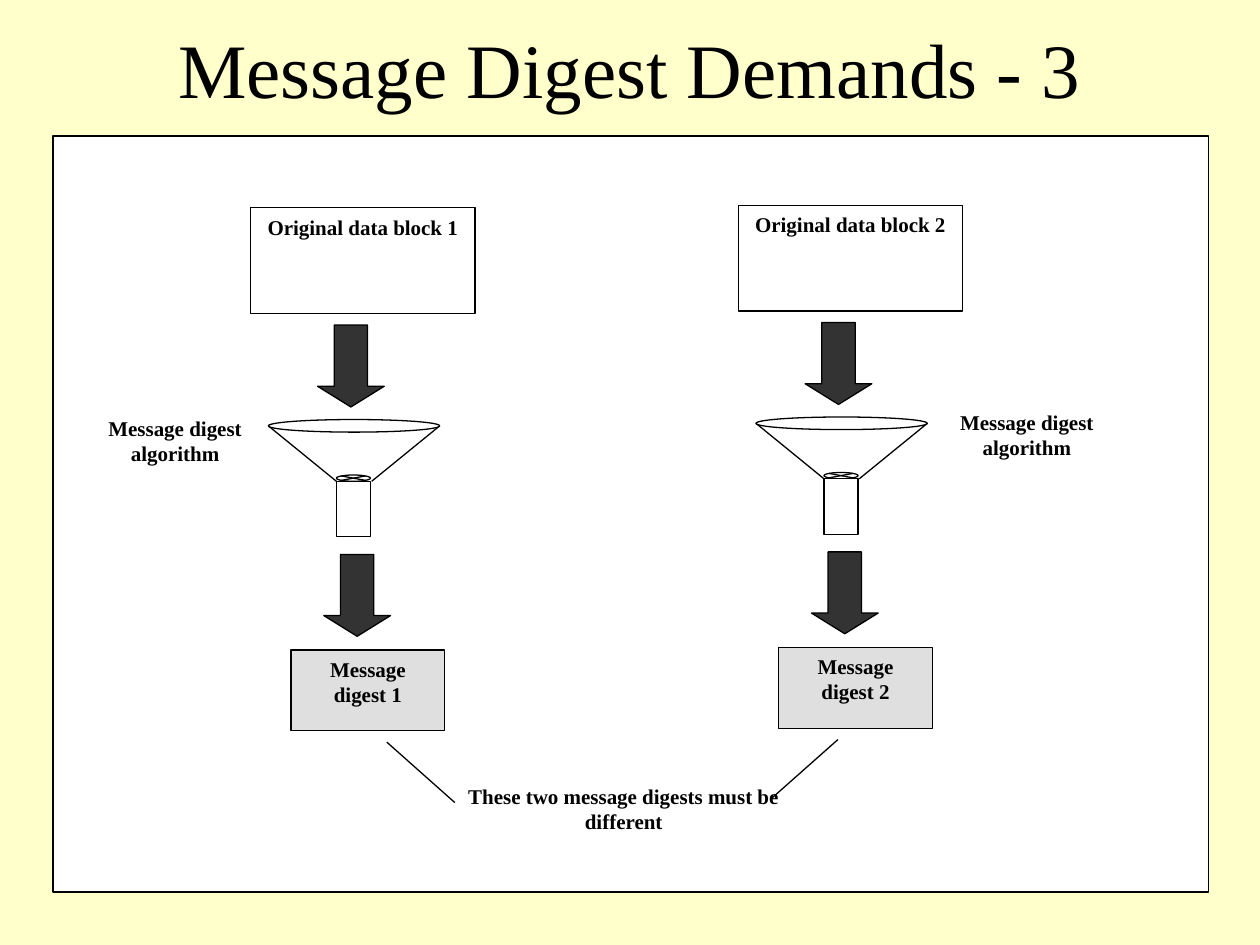
from dataclasses import dataclass

from lxml.etree import SubElement
from pptx import Presentation
from pptx.dml.color import RGBColor
from pptx.enum.shapes import MSO_CONNECTOR, MSO_SHAPE as Preset
from pptx.enum.text import MSO_ANCHOR as Anchor, PP_ALIGN as Align
from pptx.oxml.ns import qn
from pptx.shapes.autoshape import Shape
from pptx.slide import Slide
from pptx.text.text import TextFrame
from pptx.util import Inches, Pt

FONT = "Times New Roman"
BLACK, WHITE, DARK, SILVER, CREAM = "000000", "FFFFFF", "333333", "C0C0C0", "FFFFCC"
LINE_WIDTH = Pt(0.75)


@dataclass(frozen=True)
class Part:
    preset: Preset
    left: float
    top: float
    width: float
    height: float
    fill: str = WHITE
    text: str = ""
    outlined: bool = True
    opacity: int = 100


@dataclass(frozen=True)
class Stroke:
    x1: float
    y1: float
    x2: float
    y2: float


@dataclass(frozen=True)
class Column:
    number: int
    dx: float
    dy: float
    algorithm_left: float
    algorithm_top: float


COLUMNS = (
    Column(1, 0, 0, 0.7, 3.25),
    Column(2, 3.87, -0.02, 7.46, 3.2),
)
FUNNEL_SIDES = (Stroke(2.13, 3.38, 2.67, 3.82), Stroke(3.49, 3.38, 2.95, 3.82))
FUNNEL_PARTS = (
    Part(Preset.FLOWCHART_SUMMING_JUNCTION, 2.67, 3.77, 0.27, 0.05),
    Part(Preset.FLOWCHART_PROCESS, 2.67, 3.82, 0.27, 0.44),
    Part(Preset.OVAL, 2.13, 3.33, 1.36, 0.1),
)
ARROWS = (
    Part(Preset.DOWN_ARROW, 2.52, 2.58, 0.53, 0.65, DARK),
    Part(Preset.DOWN_ARROW, 2.57, 4.4, 0.53, 0.65, DARK),
)
PANEL = Part(Preset.RECTANGLE, 0.42, 1.08, 9.17, 6)
CONCLUSION = Part(Preset.RECTANGLE, 3.51, 6.17, 2.88, 0.71,
                  text="These two message digests must be different", outlined=False)
CONCLUSION_LINKS = (Stroke(3.07, 5.89, 3.61, 6.37), Stroke(6.65, 5.87, 6.12, 6.34))


def color(value: str) -> RGBColor:
    return RGBColor.from_string(value)


def write(frame: TextFrame, text: str, size: float, bold: bool, anchor: Anchor) -> None:
    frame.word_wrap = True
    frame.vertical_anchor = anchor
    paragraph = frame.paragraphs[0]
    paragraph.alignment = Align.CENTER
    run = paragraph.add_run()
    run.text = text
    run.font.name = FONT
    run.font.size = Pt(size)
    run.font.bold = bold
    run.font.color.rgb = color(BLACK)


def draw_part(slide: Slide, part: Part, dx: float = 0, dy: float = 0) -> Shape:
    shape = slide.shapes.add_shape(
        part.preset, Inches(part.left + dx), Inches(part.top + dy),
        Inches(part.width), Inches(part.height))
    shape.shadow.inherit = False
    shape.fill.solid()
    shape.fill.fore_color.rgb = color(part.fill)
    if part.opacity < 100:
        tint = shape.element.spPr.find(qn("a:solidFill")).find(qn("a:srgbClr"))
        SubElement(tint, qn("a:alpha")).set("val", str(part.opacity * 1000))
    if part.outlined:
        shape.line.color.rgb = color(BLACK)
        shape.line.width = LINE_WIDTH
    else:
        shape.line.fill.background()
    if part.preset == Preset.DOWN_ARROW:
        shape.adjustments[1] = 0.31
    if part.text:
        write(shape.text_frame, part.text, 12, True, Anchor.TOP)
    return shape


def draw_stroke(slide: Slide, stroke: Stroke, dx: float = 0, dy: float = 0) -> None:
    connector = slide.shapes.add_connector(
        MSO_CONNECTOR.STRAIGHT, Inches(stroke.x1 + dx), Inches(stroke.y1 + dy),
        Inches(stroke.x2 + dx), Inches(stroke.y2 + dy))
    connector.line.color.rgb = color(BLACK)
    connector.line.width = LINE_WIDTH
    SubElement(connector.element.spPr, qn("a:effectLst"))


def draw_column(slide: Slide, column: Column) -> None:
    offset = (column.dx, column.dy)
    data_block = Part(Preset.RECTANGLE, 1.99, 1.65, 1.78, 0.84,
                      text=f"Original data block {column.number}")
    algorithm = Part(Preset.RECTANGLE, column.algorithm_left, column.algorithm_top,
                     1.38, 0.98, text="Message digest algorithm", outlined=False)
    digest = Part(Preset.RECTANGLE, 2.31, 5.16, 1.22, 0.64, SILVER,
                  f"Message digest {column.number}", opacity=50)
    draw_part(slide, data_block, *offset)
    for side in FUNNEL_SIDES:
        draw_stroke(slide, side, *offset)
    for part in FUNNEL_PARTS + ARROWS:
        draw_part(slide, part, *offset)
    draw_part(slide, algorithm)
    draw_part(slide, digest, *offset)


def main() -> None:
    deck = Presentation()
    deck.slide_width, deck.slide_height = Inches(10), Inches(7.5)
    slide = deck.slides.add_slide(deck.slide_layouts[6])
    slide.background.fill.solid()
    slide.background.fill.fore_color.rgb = color(CREAM)

    title = slide.shapes.add_textbox(Inches(0.75), Inches(0.25), Inches(8.5), Inches(0.58))
    write(title.text_frame, "Message Digest Demands - 3", 44, False, Anchor.MIDDLE)

    draw_part(slide, PANEL)
    for column in COLUMNS:
        draw_column(slide, column)
    draw_part(slide, CONCLUSION)
    for link in CONCLUSION_LINKS:
        draw_stroke(slide, link)
    deck.save("out.pptx")


if __name__ == "__main__":
    main()
